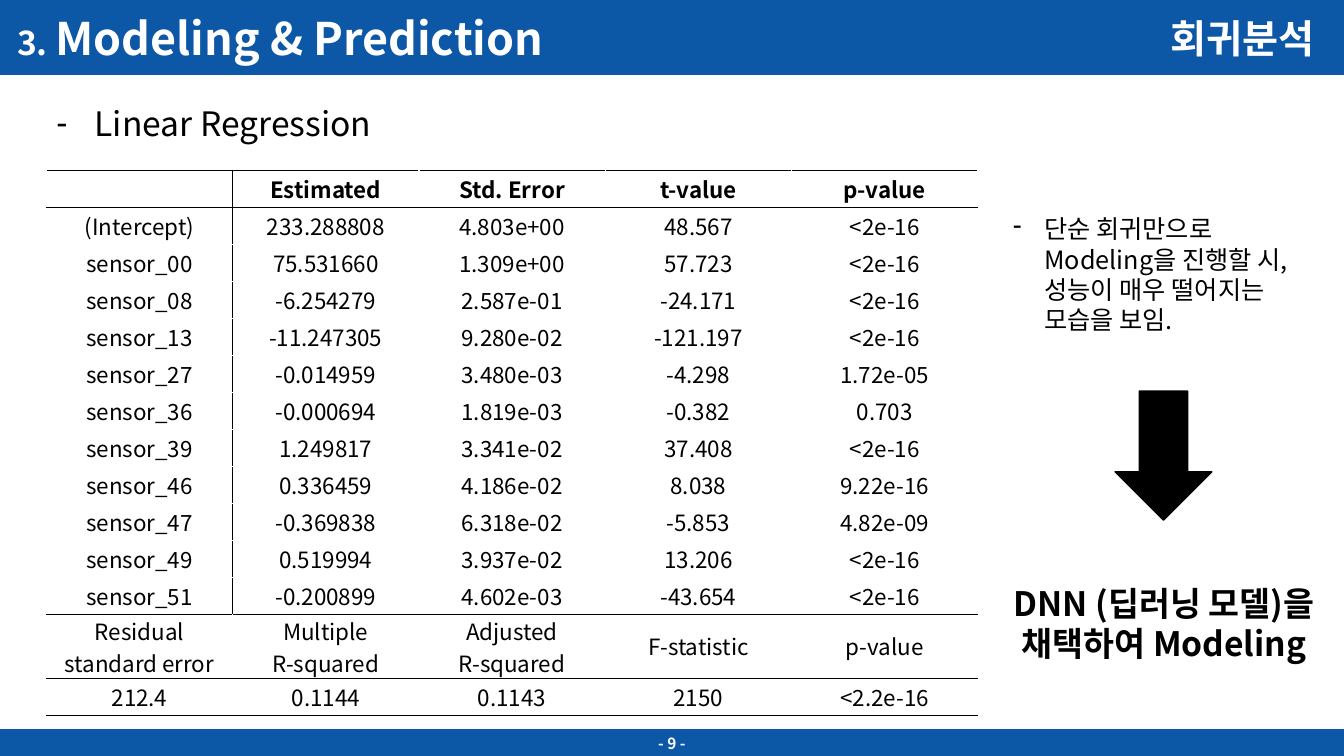
import pptx
import pptx.util
import pptx.dml.color
import pptx.enum.shapes
import pptx.enum.text
import pptx.oxml.ns
import lxml.etree

WIDTH, HEIGHT = 13.33, 7.5
FONT = "Noto Sans CJK KR"
BLUE, BLACK, WHITE = "0D57A7", "000000", "FFFFFF"
ALIGN = pptx.enum.text.PP_ALIGN
ANCHOR = pptx.enum.text.MSO_ANCHOR
SHAPE = pptx.enum.shapes.MSO_SHAPE
ROW_HEIGHT, TALL_ROW_HEIGHT = 0.367, 0.635

COEFFICIENTS = [
    ("", "Estimated", "Std. Error", "t-value", "p-value"),
    ("(Intercept)", "233.288808", "4.803e+00", "48.567", "<2e-16"),
    ("sensor_00", "75.531660", "1.309e+00", "57.723", "<2e-16"),
    ("sensor_08", "-6.254279", "2.587e-01", "-24.171", "<2e-16"),
    ("sensor_13", "-11.247305", "9.280e-02", "-121.197", "<2e-16"),
    ("sensor_27", "-0.014959", "3.480e-03", "-4.298", "1.72e-05"),
    ("sensor_36", "-0.000694", "1.819e-03", "-0.382", "0.703"),
    ("sensor_39", "1.249817", "3.341e-02", "37.408", "<2e-16"),
    ("sensor_46", "0.336459", "4.186e-02", "8.038", "9.22e-16"),
    ("sensor_47", "-0.369838", "6.318e-02", "-5.853", "4.82e-09"),
    ("sensor_49", "0.519994", "3.937e-02", "13.206", "<2e-16"),
    ("sensor_51", "-0.200899", "4.602e-03", "-43.654", "<2e-16"),
]
SUMMARY = [
    ("Residual\nstandard error", "Multiple\nR-squared", "Adjusted\nR-squared",
     "F-statistic", "p-value"),
    ("212.4", "0.1144", "0.1143", "2150", "<2.2e-16"),
]


def color(value):
    """Turn a hex string into a colour."""
    return pptx.dml.color.RGBColor.from_string(value)


def inches(box):
    """Turn a box of inches into lengths."""
    return [pptx.util.Inches(length) for length in box]


def add_child(parent, tag, **attributes):
    """Append a DrawingML element to its parent."""
    return lxml.etree.SubElement(parent, pptx.oxml.ns.qn(tag), attributes)


def place(shape, box):
    """Move a shape to a box."""
    shape.left, shape.top, shape.width, shape.height = inches(box)


def paint(shape, value):
    """Give a shape one colour for fill and line, without shadow."""
    shape.fill.solid()
    shape.fill.fore_color.rgb = color(value)
    shape.line.color.rgb = color(value)
    shape.line.width = pptx.util.Pt(1)


def write(frame, text, size, value=BLACK, bold=False, align=ALIGN.LEFT,
          anchor=ANCHOR.TOP, spacing=None):
    """Fill a text frame, one paragraph for each line of text."""
    frame.word_wrap = True
    frame.vertical_anchor = anchor
    frame.text = text
    for paragraph in frame.paragraphs:
        paragraph.alignment = align
        paragraph.space_before = pptx.util.Pt(0)
        if spacing:
            paragraph.line_spacing = spacing
        font = paragraph.font
        font.name, font.size, font.bold = FONT, pptx.util.Pt(size), bold
        font.color.rgb = color(value)
        add_child(font._element, "a:ea", typeface=FONT)


def add_dash(paragraph, indent):
    """Give a paragraph a dash bullet with a hanging indent."""
    properties = paragraph._p.get_or_add_pPr()
    length = pptx.util.Inches(indent)
    properties.set("marL", str(length))
    properties.set("indent", str(-length))
    bullet = add_child(properties, "a:buChar", char="-")
    properties.find(pptx.oxml.ns.qn("a:defRPr")).addprevious(bullet)


def add_text(slide, box, text, size, **style):
    """Add a text box and return its text frame."""
    frame = slide.shapes.add_textbox(*inches(box)).text_frame
    write(frame, text, size, **style)
    return frame


def add_header(slide, box):
    """Make the title a blue band with the topic at its right."""
    left, top, width, height = box
    title = slide.shapes.title
    place(title, box)
    paint(title, BLUE)
    frame = title.text_frame
    frame.auto_size = pptx.enum.text.MSO_AUTO_SIZE.NONE
    write(frame, "", 32, WHITE, True, anchor=ANCHOR.MIDDLE)
    frame.margin_left = pptx.util.Inches(0.17)
    number, name = [frame.paragraphs[0].add_run() for _ in range(2)]
    number.text, name.text = "3. ", "Modeling & Prediction"
    number.font.size = pptx.util.Pt(24)
    add_text(slide, (left + width - 2.33, top + 0.09, 2.14, height - 0.17),
             "회귀분석", 28, value=WHITE, bold=True, align=ALIGN.RIGHT)


def add_footer(slide, box):
    """Add the blue band with the page number."""
    band = slide.shapes.add_shape(SHAPE.RECTANGLE, *inches(box))
    band.shadow.inherit = False
    paint(band, BLUE)
    write(band.text_frame, "- 9 -", 11, WHITE, True, ALIGN.CENTER, ANCHOR.MIDDLE)


def add_heading(slide, box):
    """Put the section heading in the body placeholder."""
    body = slide.placeholders[1]
    place(body, box)
    body.text_frame.auto_size = pptx.enum.text.MSO_AUTO_SIZE.NONE
    write(body.text_frame, "Linear Regression", 24)
    add_dash(body.text_frame.paragraphs[0], 0.38)


def set_borders(cell, dark_sides):
    """Draw black borders on the named sides and white ones elsewhere."""
    properties = cell._tc.get_or_add_tcPr()
    for position, side in enumerate("LRTB"):
        line = lxml.etree.Element(pptx.oxml.ns.qn("a:ln" + side),
                                  w=str(pptx.util.Pt(1)))
        fill = add_child(line, "a:solidFill")
        add_child(fill, "a:srgbClr", val=BLACK if side in dark_sides else WHITE)
        properties.insert(position, line)


def add_results(slide, box):
    """Add the regression table: coefficients, then the model summary."""
    rows = COEFFICIENTS + SUMMARY
    summary_start = len(COEFFICIENTS)
    ruled_below = {0, summary_start - 1, summary_start, summary_start + 1}
    table = slide.shapes.add_table(len(rows), len(rows[0]), *inches(box)).table
    table.first_row = table.horz_banding = False
    for row, values in enumerate(rows):
        height = TALL_ROW_HEIGHT if row == summary_start else ROW_HEIGHT
        table.rows[row].height = pptx.util.Inches(height)
        for column, value in enumerate(values):
            cell = table.cell(row, column)
            cell.fill.background()
            cell.margin_top = cell.margin_bottom = 0
            write(cell.text_frame, value, 16, bold=row == 0, align=ALIGN.CENTER)
            cell.vertical_anchor = ANCHOR.MIDDLE
            sides = "B" if row in ruled_below else ""
            sides += "T" if row == 0 or row - 1 in ruled_below else ""
            if row < summary_start:
                sides += {0: "R", 1: "L"}.get(column, "")
            set_borders(cell, sides)


def add_conclusion(slide, box):
    """Add the remark, the arrow and the model chosen, from top to bottom."""
    left, top, width, height = box
    remark = add_text(slide, (left, top, width, 1.31),
                      "단순 회귀만으로Modeling을 진행할 시, 성능이 매우 떨어지는 모습을 보임.",
                      18)
    add_dash(remark.paragraphs[0], 0.31)
    arrow = slide.shapes.add_shape(
        SHAPE.DOWN_ARROW, *inches((left + 1.11, top + 1.81, 0.96, 1.28)))
    arrow.shadow.inherit = False
    paint(arrow, BLACK)
    add_text(slide, (left, top + height - 0.91, width, 0.91),
             "DNN (딥러닝 모델)을\n채택하여 Modeling", 24, bold=True,
             align=ALIGN.CENTER)


def build():
    """Build the slide and save it."""
    presentation = pptx.Presentation()
    presentation.slide_width, presentation.slide_height = inches((WIDTH, HEIGHT))
    slide = presentation.slides.add_slide(presentation.slide_layouts[1])
    add_header(slide, (0, 0, WIDTH, 0.74))
    add_footer(slide, (0, HEIGHT - 0.26, WIDTH, 0.26))
    add_heading(slide, (0.46, 0.97, 11.89, 0.5))
    add_results(slide, (0.46, 1.69, 9.24, 5.4))
    add_conclusion(slide, (9.95, 2.07, 3.19, 4.57))
    presentation.save("out.pptx")


build()
